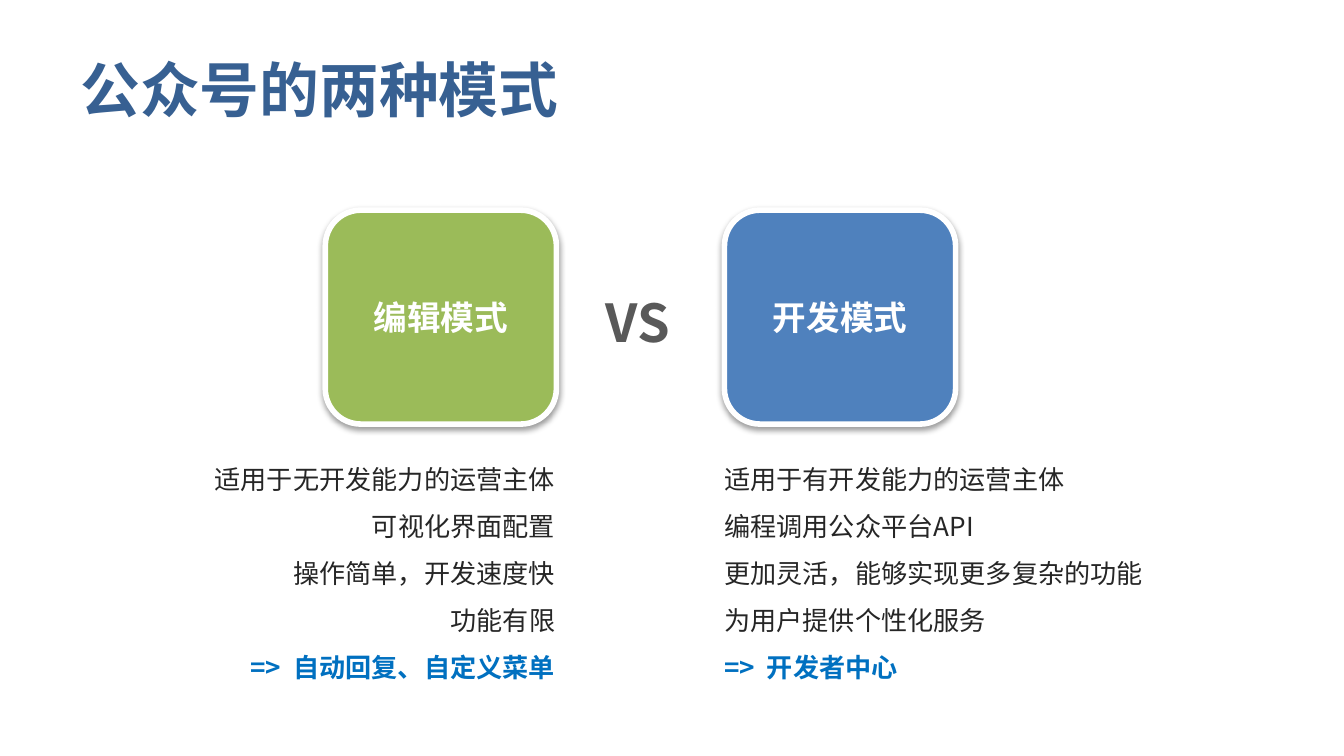
from lxml import etree
from pptx import Presentation
from pptx.dml.color import RGBColor
from pptx.enum.shapes import MSO_SHAPE
from pptx.enum.text import MSO_ANCHOR, PP_ALIGN
from pptx.oxml.ns import qn
from pptx.util import Inches, Pt

ROUNDED = MSO_SHAPE.ROUNDED_RECTANGLE
MIDDLE, TOP = MSO_ANCHOR.MIDDLE, MSO_ANCHOR.TOP
LEFT, CENTER, RIGHT = PP_ALIGN.LEFT, PP_ALIGN.CENTER, PP_ALIGN.RIGHT

FONT = "Noto Sans CJK SC"
WIDTH = 10
HEIGHT = WIDTH * 9 / 16
LINE_SPACING = 1.5

CARD_TOP, CARD_WIDTH, CARD_HEIGHT = 27.8, 17.2, 28.3
LIST_TOP, LIST_HEIGHT = 58.35, 33.25

# card name, card fill, card left, list left, list width, list alignment, points, conclusion
MODES = [
    ("编辑模式", "9BBB59", 24.2, 14.8, 27.5, RIGHT,
     ["适用于无开发能力的运营主体", "可视化界面配置", "操作简单，开发速度快", "功能有限"],
     "=>  自动回复、自定义菜单"),
    ("开发模式", "4F81BD", 53.9, 52.9, 33.4, LEFT,
     ["适用于有开发能力的运营主体", "编程调用公众平台API", "更加灵活，能够实现更多复杂的功能",
      "为用户提供个性化服务"],
     "=>  开发者中心"),
]


def color(value):
    return RGBColor.from_string(value)


def area(left, top, width, height):
    """Turn percentages of the slide's width and height into lengths."""
    return (Inches(WIDTH * left / 100), Inches(HEIGHT * top / 100),
            Inches(WIDTH * width / 100), Inches(HEIGHT * height / 100))


def add_span(para, text, size, ink, bold):
    span = para.add_run()
    span.text = text
    font = span.font
    font.name, font.size, font.bold = FONT, Pt(size), bold
    font.color.rgb = color(ink)
    east_asian = etree.SubElement(font._element, qn("a:ea"))
    east_asian.set("typeface", FONT)


def add_text_box(page, place, anchor, wrap=True):
    box = page.shapes.add_textbox(*area(*place))
    box.text_frame.word_wrap = wrap
    box.text_frame.vertical_anchor = anchor
    return box


def add_label(page, place, text, size, ink, wrap=True):
    box = add_text_box(page, place, MIDDLE, wrap)
    add_span(box.text_frame.paragraphs[0], text, size, ink, True)


def add_soft_shadow(shape):
    shape.shadow.inherit = False
    effects = shape._element.spPr.find(qn("a:effectLst"))
    shadow = etree.SubElement(effects, qn("a:outerShdw"), blurRad=str(Pt(3.1)),
                              dist=str(Pt(1.6)), dir="5400000", rotWithShape="0")
    shade = etree.SubElement(shadow, qn("a:srgbClr"), val="000000")
    etree.SubElement(shade, qn("a:alpha"), val="38000")


def add_card(page, left, name, fill):
    card = page.shapes.add_shape(ROUNDED, *area(left, CARD_TOP, CARD_WIDTH, CARD_HEIGHT))
    card.fill.solid()
    card.fill.fore_color.rgb = color(fill)
    card.line.color.rgb = color("FFFFFF")
    card.line.width = Pt(3)
    add_soft_shadow(card)
    card.text_frame.vertical_anchor = MIDDLE
    para = card.text_frame.paragraphs[0]
    para.alignment = CENTER
    add_span(para, name, 18, "FFFFFF", True)


def add_points(page, left, width, align, points, conclusion):
    box = add_text_box(page, (left, LIST_TOP, width, LIST_HEIGHT), TOP)
    frame = box.text_frame
    lines = [(point, "262626", False) for point in points] + [(conclusion, "0070C0", True)]
    for index, (text, ink, bold) in enumerate(lines):
        para = frame.add_paragraph() if index else frame.paragraphs[0]
        para.alignment = align
        para.line_spacing = LINE_SPACING
        add_span(para, text, 14, ink, bold)


def main():
    deck = Presentation()
    deck.slide_width, deck.slide_height = Inches(WIDTH), Inches(HEIGHT)
    page = deck.slides.add_slide(deck.slide_layouts[6])

    add_label(page, (5, 5.35, 90, 12.8), "公众号的两种模式", 32, "376092")
    for name, fill, card_left, list_left, list_width, align, points, conclusion in MODES:
        add_card(page, card_left, name, fill)
        add_points(page, list_left, list_width, align, points, conclusion)
    add_label(page, (44.1, 37.5, 7.1, 10.1), "VS", 28, "595959", wrap=False)

    deck.save("out.pptx")


if __name__ == "__main__":
    main()
